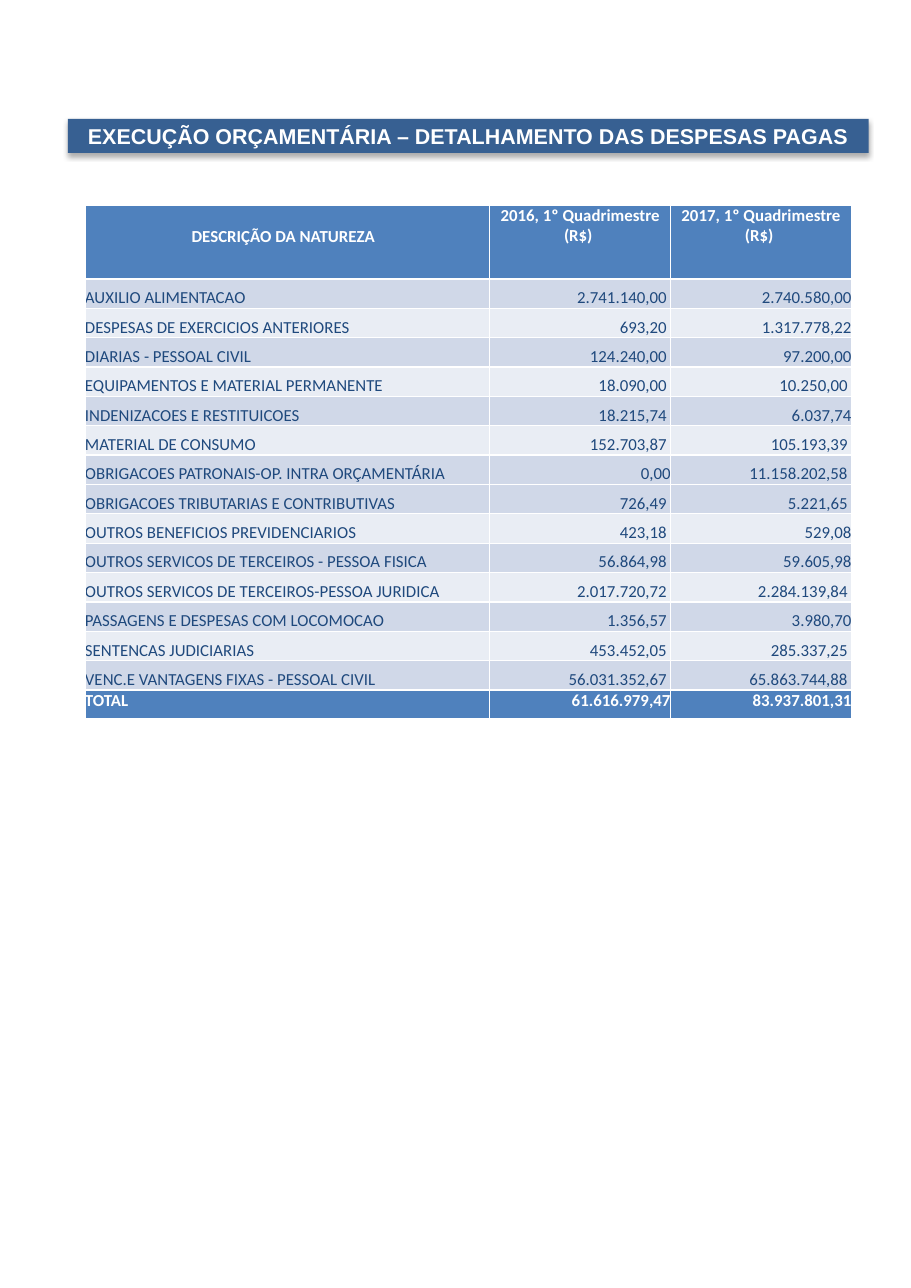
"""Build the slide with the table of paid budget expenses."""
from lxml import etree
from pptx import Presentation
from pptx import util as u
from pptx.dml.color import RGBColor
from pptx.enum import text
from pptx.oxml import parse_xml
from pptx.oxml.ns import nsdecls

SCALE = 8297
WHITE = RGBColor(0xFF, 0xFF, 0xFF)
BANNER_BLUE = RGBColor(0x37, 0x60, 0x92)
HEADER_BLUE = RGBColor(0x4F, 0x81, 0xBD)
TEXT_BLUE = RGBColor(0x1F, 0x49, 0x7D)
DARK_BAND = RGBColor(0xD0, 0xD8, 0xE8)
LIGHT_BAND = RGBColor(0xE9, 0xED, 0xF4)
LIGHT_ROWS = {2, 4, 6, 9, 11, 13}

TITLE = "EXECUÇÃO ORÇAMENTÁRIA – DETALHAMENTO DAS DESPESAS PAGAS"
ROWS = [
    ("DESCRIÇÃO DA NATUREZA", "2016, 1º Quadrimestre (R$) ", "2017, 1º Quadrimestre (R$) "),
    ("AUXILIO ALIMENTACAO", "2.741.140,00 ", "2.740.580,00"),
    ("DESPESAS DE EXERCICIOS ANTERIORES", "693,20 ", "1.317.778,22"),
    ("DIARIAS - PESSOAL CIVIL", "124.240,00 ", "97.200,00"),
    ("EQUIPAMENTOS E MATERIAL PERMANENTE", "18.090,00 ", "10.250,00 "),
    ("INDENIZACOES E RESTITUICOES", "18.215,74 ", "6.037,74"),
    ("MATERIAL DE CONSUMO", "152.703,87 ", "105.193,39 "),
    ("OBRIGACOES PATRONAIS-OP. INTRA ORÇAMENTÁRIA", "0,00", "11.158.202,58 "),
    ("OBRIGACOES TRIBUTARIAS E CONTRIBUTIVAS", "726,49 ", "5.221,65 "),
    ("OUTROS BENEFICIOS PREVIDENCIARIOS", "423,18 ", "529,08"),
    ("OUTROS SERVICOS DE TERCEIROS - PESSOA FISICA", "56.864,98 ", "59.605,98"),
    ("OUTROS SERVICOS DE TERCEIROS-PESSOA JURIDICA", "2.017.720,72 ", "2.284.139,84 "),
    ("PASSAGENS E DESPESAS COM LOCOMOCAO", "1.356,57 ", "3.980,70"),
    ("SENTENCAS JUDICIARIAS", "453.452,05 ", "285.337,25 "),
    ("VENC.E VANTAGENS FIXAS - PESSOAL CIVIL", "56.031.352,67 ", "65.863.744,88 "),
    ("TOTAL", "61.616.979,47", "83.937.801,31"),
]
TOTAL_ROW = len(ROWS) - 1
COLUMN_WIDTHS = [405, 181, 181]
HEADER_HEIGHT = 74
BODY_HEIGHT = 441


def add_run(paragraph, wording, font_name, size, color, bold):
    run = paragraph.add_run()
    run.text = wording
    run.font.name = font_name
    run.font.size = u.Pt(size)
    run.font.color.rgb = color
    run.font.bold = bold


def add_border(cell, side, points):
    line = parse_xml(
        f'<a:{side} {nsdecls("a")} w="{u.Pt(points)}"><a:solidFill>'
        f'<a:srgbClr val="{WHITE}"/></a:solidFill></a:{side}>'
    )
    cell._tc.get_or_add_tcPr().append(line)


presentation = Presentation()
presentation.slide_width = u.Inches(8.27)
presentation.slide_height = u.Inches(11.69)
slide = presentation.slides.add_slide(presentation.slide_layouts[5])

banner = slide.shapes.title
banner.left, banner.top = 68 * SCALE, 119 * SCALE
banner.width, banner.height = 801 * SCALE, 34 * SCALE
banner.fill.solid()
banner.fill.fore_color.rgb = BANNER_BLUE
banner.line.fill.background()
shadow = etree.fromstring(
    f'<a:effectLst {nsdecls("a")}><a:outerShdw blurRad="{u.Pt(3.5)}" '
    f'dist="{u.Pt(2.2)}" dir="5400000" rotWithShape="0">'
    '<a:srgbClr val="000000"><a:alpha val="32000"/></a:srgbClr>'
    '</a:outerShdw></a:effectLst>'
)
banner._element.spPr.append(shadow)
banner_text = banner.text_frame
banner_text.word_wrap = True
banner_text.auto_size = text.MSO_AUTO_SIZE.NONE
banner_text.vertical_anchor = text.MSO_ANCHOR.MIDDLE
banner_text.paragraphs[0].alignment = text.PP_ALIGN.CENTER
add_run(banner_text.paragraphs[0], TITLE, "Arial", 14, WHITE, True)

table = slide.shapes.add_table(
    len(ROWS), len(COLUMN_WIDTHS), 85 * SCALE, 205 * SCALE,
    sum(COLUMN_WIDTHS) * SCALE, (HEADER_HEIGHT + BODY_HEIGHT) * SCALE,
).table
for column, width in zip(table.columns, COLUMN_WIDTHS):
    column.width = width * SCALE

for row_index, values in enumerate(ROWS):
    is_header = row_index == 0
    is_strong = row_index in (0, TOTAL_ROW)
    band = LIGHT_BAND if row_index in LIGHT_ROWS else DARK_BAND
    row_height = HEADER_HEIGHT * SCALE if is_header else BODY_HEIGHT * SCALE // TOTAL_ROW
    table.rows[row_index].height = row_height
    for column_index, value in enumerate(values):
        cell = table.cell(row_index, column_index)
        cell.margin_left = cell.margin_right = cell.margin_top = cell.margin_bottom = 0
        cell.vertical_anchor = text.MSO_ANCHOR.TOP if is_strong else text.MSO_ANCHOR.BOTTOM
        add_border(cell, "lnL", 1)
        add_border(cell, "lnR", 1)
        add_border(cell, "lnT", 1.5 if row_index == 1 else 1)
        add_border(cell, "lnB", 1.5 if is_strong else 1)
        cell.fill.solid()
        cell.fill.fore_color.rgb = HEADER_BLUE if is_strong else band
        paragraph = cell.text_frame.paragraphs[0]
        if is_header:
            paragraph.alignment = text.PP_ALIGN.CENTER
        else:
            paragraph.alignment = text.PP_ALIGN.RIGHT if column_index else text.PP_ALIGN.LEFT
        add_run(paragraph, value, "Calibri", 11, WHITE if is_strong else TEXT_BLUE, is_strong)

description_header = table.cell(0, 0)
description_header.margin_top = 21 * SCALE
description_header.margin_right = 8 * SCALE

presentation.save("out.pptx")
